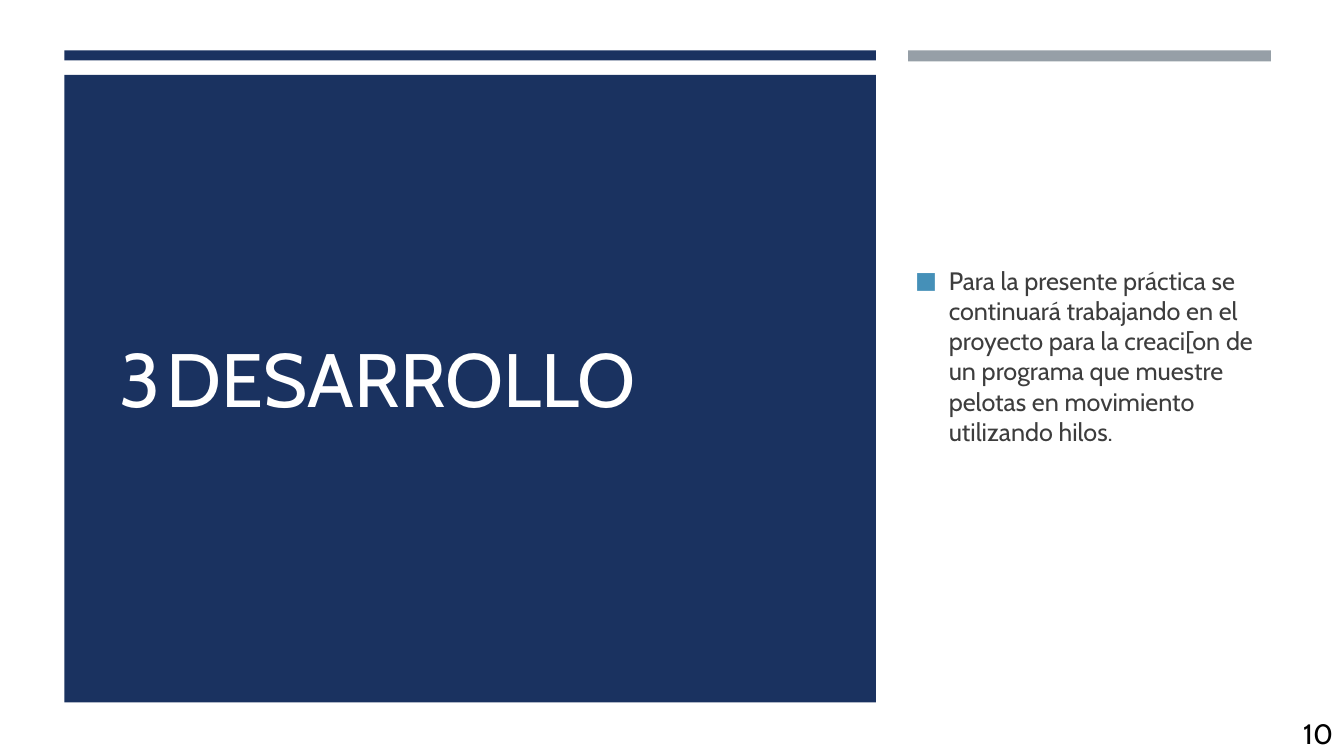
from dataclasses import dataclass

from lxml import etree
from pptx import Presentation
from pptx import util as u
from pptx.dml.color import RGBColor
from pptx.enum import shapes, text
from pptx.oxml import ns

FONT = "Cabin"
COLOURS = {
    "navy": "1A3260",
    "grey": "969FA7",
    "bullet": "4590B8",
    "body": "3D3D3D",
    "white": "FFFFFF",
    "black": "000000",
}


@dataclass(frozen=True)
class Block:
    left: float
    top: float
    width: float
    height: float
    colour: str


BLOCKS = [
    Block(46, 36, 579.6, 7.2, "navy"),
    Block(648.7, 36, 259.2, 7.9, "grey"),
    Block(46, 53.5, 579.6, 448.3, "navy"),
]


def place(shape, left: float, top: float, width: float, height: float) -> None:
    shape.left, shape.top = u.Pt(left), u.Pt(top)
    shape.width, shape.height = u.Pt(width), u.Pt(height)


def draw_block(slide, block: Block) -> None:
    shape = slide.shapes.add_shape(
        shapes.MSO_SHAPE.RECTANGLE,
        u.Pt(block.left), u.Pt(block.top), u.Pt(block.width), u.Pt(block.height),
    )
    shape.shadow.inherit = False
    shape.fill.solid()
    shape.fill.fore_color.rgb = RGBColor.from_string(COLOURS[block.colour])
    shape.line.fill.background()


def write(shape, content: str, *, size: float, colour: str,
          anchor=text.MSO_ANCHOR.MIDDLE, before: float = 0, after: float = 0,
          bottom: float = 3.6):
    frame = shape.text_frame
    frame.word_wrap = True
    frame.auto_size = text.MSO_AUTO_SIZE.NONE
    frame.vertical_anchor = anchor
    frame.margin_bottom = u.Pt(bottom)
    paragraph = frame.paragraphs[0]
    paragraph.alignment = text.PP_ALIGN.LEFT
    paragraph.space_before, paragraph.space_after = u.Pt(before), u.Pt(after)
    run = paragraph.add_run()
    run.text = content
    run.font.name = FONT
    run.font.size = u.Pt(size)
    run.font.color.rgb = RGBColor.from_string(COLOURS[colour])
    return paragraph


def add_tab_stop(paragraph, position: float) -> None:
    properties = paragraph._p.get_or_add_pPr()
    tabs = etree.SubElement(properties, ns.qn("a:tabLst"))
    etree.SubElement(tabs, ns.qn("a:tab"), pos=str(u.Pt(position)), algn="l")


def add_bullet(paragraph, indent: float, colour: str) -> None:
    properties = paragraph._p.get_or_add_pPr()
    properties.set("marL", str(u.Pt(indent)))
    properties.set("indent", str(-u.Pt(indent)))
    bullet_colour = etree.SubElement(properties, ns.qn("a:buClr"))
    etree.SubElement(bullet_colour, ns.qn("a:srgbClr"), val=COLOURS[colour])
    etree.SubElement(properties, ns.qn("a:buSzPct"), val="92000")
    etree.SubElement(properties, ns.qn("a:buFont"), typeface=FONT)
    etree.SubElement(properties, ns.qn("a:buChar"), char="■")


def main() -> None:
    presentation = Presentation()
    presentation.slide_width, presentation.slide_height = u.Pt(960), u.Pt(540)
    slide = presentation.slides.add_slide(presentation.slide_layouts[5])

    for block in BLOCKS:
        draw_block(slide, block)

    title = slide.shapes.title
    slide.shapes.element.append(title.element)
    place(title, 78.5, 90.7, 518.4, 357.1)
    heading = write(title, "3\tDESARROLLO", size=54, colour="white")
    add_tab_stop(heading, 33.5)

    body = slide.shapes.add_textbox(u.Pt(646.6), u.Pt(90.7), u.Pt(267.8), u.Pt(357.1))
    description = write(
        body,
        "Para la presente práctica se continuará trabajando en el proyecto para la "
        "creaci[on de un programa que muestre pelotas en movimiento utilizando hilos.",
        size=18, colour="body", before=3.6, after=6, bottom=34,
    )
    add_bullet(description, 24, "bullet")

    number = slide.shapes.add_textbox(u.Pt(923.8), u.Pt(508.3), u.Pt(36.2), u.Pt(31.7))
    write(number, "10", size=20, colour="black", anchor=text.MSO_ANCHOR.TOP)

    presentation.save("out.pptx")


if __name__ == "__main__":
    main()
